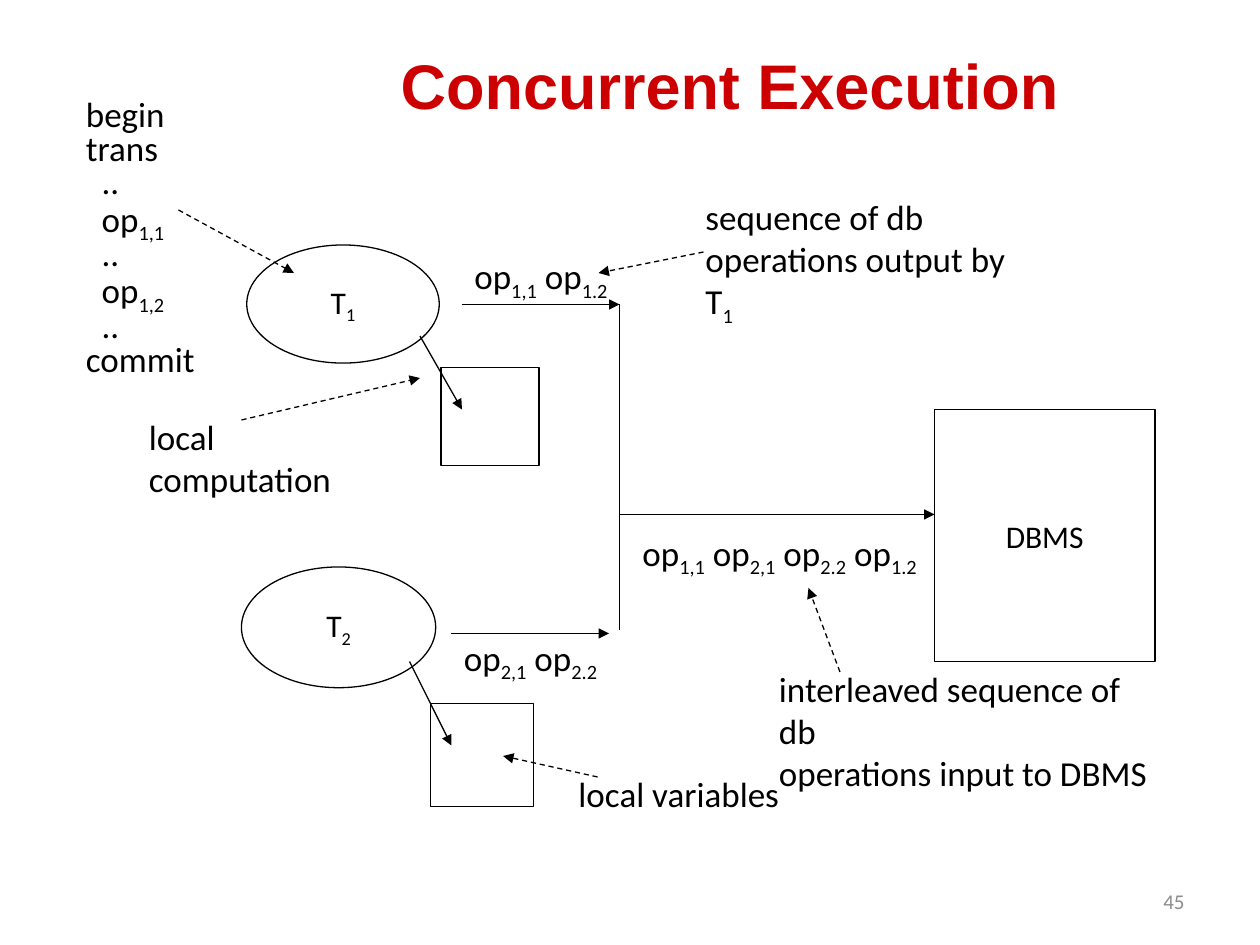
from typing import NamedTuple

from lxml.etree import SubElement
from pptx import Presentation
from pptx.dml.color import RGBColor
from pptx.enum.dml import MSO_LINE_DASH_STYLE as Dash
from pptx.enum.shapes import MSO_CONNECTOR as Connector, MSO_SHAPE as Shape
from pptx.enum.text import MSO_ANCHOR as Anchor, MSO_AUTO_SIZE as AutoSize, PP_ALIGN as Align
from pptx.oxml.ns import qn
from pptx.util import Pt

BLACK, WHITE, RED, GRAY = "000000", "FFFFFF", "CC0000", "8C8C8C"


class Node(NamedTuple):
    kind: Shape
    left: float
    top: float
    width: float
    height: float
    text: str = ""


class Label(NamedTuple):
    left: float
    top: float
    width: float
    height: float
    lines: tuple[str, ...]
    wrap: bool = False
    spacing: float = 1.0
    indented: tuple[int, ...] = ()


class Line(NamedTuple):
    x1: float
    y1: float
    x2: float
    y2: float
    dashed: bool = False
    arrow: bool = True


# Text between bars is set as a subscript
NODES = [
    Node(Shape.OVAL, 141, 140, 110, 67.5, "T|1|"),
    Node(Shape.OVAL, 138, 324, 111, 69, "T|2|"),
    Node(Shape.RECTANGLE, 252, 210, 56, 56),
    Node(Shape.RECTANGLE, 246, 402, 59, 59),
    Node(Shape.RECTANGLE, 534, 234, 126, 144, "DBMS"),
]

LABELS = [
    Label(78, 234, 150, 55, ("local computation",), wrap=True),
    Label(323.5, 438, 130, 31, ("local variables",)),
    Label(396, 108, 195, 79, ("sequence of db", "operations output by T|1|"), wrap=True),
    Label(264, 142, 92, 31, ("op|1,1| op|1.2|",)),
    Label(258, 360, 92, 31, ("op|2,1| op|2.2|",)),
    Label(360, 300, 174, 31, ("op|1,1| op|2,1| op|2.2| op|1.2|",)),
    Label(438, 378, 228, 79,
          ("interleaved sequence of db", "operations input to DBMS"), wrap=True),
    Label(42, 54, 100, 162,
          ("begin trans", "..", "op|1,1|", "..", "op|1,2|", "..", "commit"),
          wrap=True, spacing=0.8, indented=(1, 2, 3, 4, 5)),
]

LINES = [
    # Operation streams into the DBMS
    Line(264, 174, 354, 174),
    Line(258, 362, 348, 362),
    Line(354, 174, 354, 360, arrow=False),
    Line(354, 294, 534, 294),
    # Transactions to their local variables
    Line(240, 192, 264, 234),
    Line(234, 378, 258, 426),
    # Label pointers
    Line(341.5, 444, 287.5, 432, dashed=True),
    Line(402, 144, 342, 156, dashed=True),
    Line(138, 240, 240, 216, dashed=True),
    Line(480, 384, 462, 336, dashed=True),
    Line(102, 120, 168, 156, dashed=True),
]


def rgb(color: str) -> RGBColor:
    return RGBColor.from_string(color)


def add_runs(paragraph, text: str, size: float, color: str = BLACK,
             font: str = "Calibri", bold: bool = False) -> None:
    for index, part in enumerate(text.split("|")):
        if not part:
            continue
        run = paragraph.add_run()
        run.text = part
        run.font.name, run.font.size, run.font.bold = font, Pt(size), bold
        run.font.color.rgb = rgb(color)
        if index % 2:
            run.font._element.set("baseline", "-25000")


def draw_node(slide, node: Node) -> None:
    shape = slide.shapes.add_shape(node.kind, Pt(node.left), Pt(node.top),
                                   Pt(node.width), Pt(node.height))
    shape.shadow.inherit = False
    shape.fill.solid()
    shape.fill.fore_color.rgb = rgb(WHITE)
    shape.line.color.rgb = rgb(BLACK)
    shape.line.width = Pt(0.75)
    if node.text:
        frame = shape.text_frame
        frame.word_wrap = False
        frame.vertical_anchor = Anchor.MIDDLE
        frame.paragraphs[0].alignment = Align.CENTER
        add_runs(frame.paragraphs[0], node.text, 18)


def draw_label(slide, label: Label) -> None:
    frame = slide.shapes.add_textbox(Pt(label.left), Pt(label.top),
                                     Pt(label.width), Pt(label.height)).text_frame
    frame.word_wrap = label.wrap
    for index, text in enumerate(label.lines):
        paragraph = frame.add_paragraph() if index else frame.paragraphs[0]
        paragraph.line_spacing = label.spacing
        if index in label.indented:
            paragraph._p.get_or_add_pPr().set("marL", str(Pt(9)))
        add_runs(paragraph, text, 20)


def draw_line(slide, line: Line) -> None:
    connector = slide.shapes.add_connector(Connector.STRAIGHT, Pt(line.x1), Pt(line.y1),
                                           Pt(line.x2), Pt(line.y2))
    connector.line.color.rgb = rgb(BLACK)
    connector.line.width = Pt(0.75)
    if line.dashed:
        connector.line.dash_style = Dash.DASH
    if line.arrow:
        SubElement(connector.line._get_or_add_ln(), qn("a:tailEnd"), type="triangle")
    SubElement(connector._element.spPr, qn("a:effectLst"))


def main() -> None:
    deck = Presentation()
    deck.slide_width, deck.slide_height = Pt(720), Pt(540)
    slide = deck.slides.add_slide(deck.slide_layouts[5])

    # Title
    title = slide.shapes.title
    title.left, title.top, title.width, title.height = Pt(144), Pt(24), Pt(546), Pt(48)
    title.text_frame.auto_size = AutoSize.NONE
    title.text_frame.vertical_anchor = Anchor.MIDDLE
    heading = title.text_frame.paragraphs[0]
    heading.alignment = Align.CENTER
    add_runs(heading, "Concurrent Execution", 36, RED, "Arial", bold=True)

    # Diagram
    for node in NODES:
        draw_node(slide, node)
    for label in LABELS:
        draw_label(slide, label)
    for line in LINES:
        draw_line(slide, line)

    # Slide number
    number = slide.shapes.add_textbox(Pt(516), Pt(500.5), Pt(168), Pt(29)).text_frame
    number.word_wrap = True
    number.vertical_anchor = Anchor.MIDDLE
    number.paragraphs[0].alignment = Align.RIGHT
    add_runs(number.paragraphs[0], "45", 12, GRAY)

    deck.save("out.pptx")


if __name__ == "__main__":
    main()
